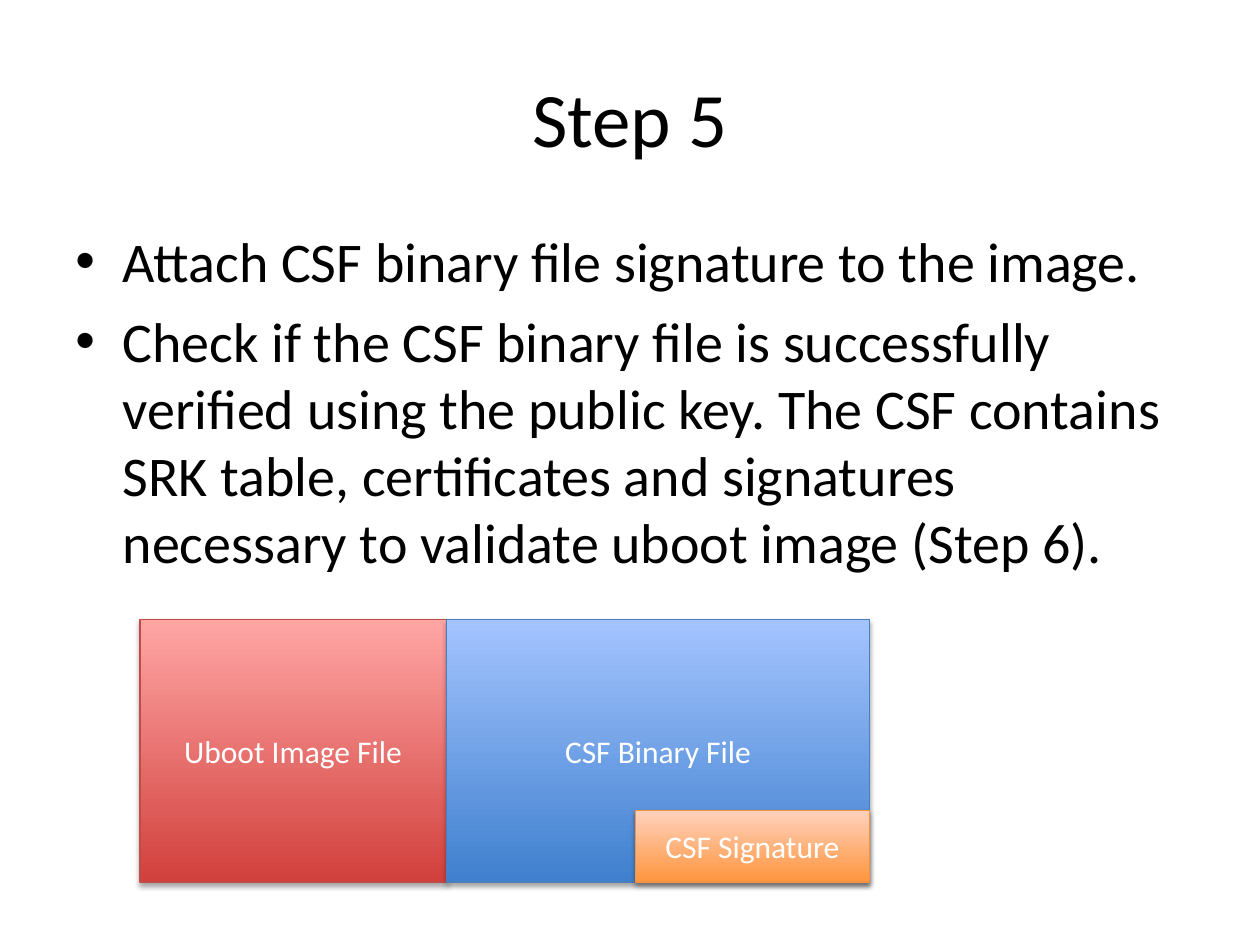
from dataclasses import dataclass

import lxml.etree
import pptx
import pptx.dml.color
import pptx.enum.shapes
import pptx.enum.text
import pptx.oxml
import pptx.oxml.ns
import pptx.util

Pt = pptx.util.Pt
RGBColor = pptx.dml.color.RGBColor
Align = pptx.enum.text.PP_ALIGN
Anchor = pptx.enum.text.MSO_ANCHOR

BLACK = RGBColor(0x00, 0x00, 0x00)
WHITE = RGBColor(0xFF, 0xFF, 0xFF)
RED_DARK = RGBColor(0xD1, 0x40, 0x3C)
RED_LIGHT = RGBColor(0xFF, 0xA6, 0xA5)
RED_LINE = RGBColor(0xBF, 0x4C, 0x48)
BLUE_DARK = RGBColor(0x3F, 0x80, 0xCE)
BLUE_LIGHT = RGBColor(0xA4, 0xC4, 0xFF)
BLUE_LINE = RGBColor(0x4B, 0x7E, 0xBC)
ORANGE_DARK = RGBColor(0xFF, 0x95, 0x3E)
ORANGE_LIGHT = RGBColor(0xFF, 0xD2, 0xBD)
ORANGE_LINE = RGBColor(0xF6, 0x92, 0x40)

FONT = "Calibri"
HANGING = Pt(27)
SHADOW = (
    '<a:outerShdw xmlns:a="http://schemas.openxmlformats.org/drawingml/2006/main" '
    'blurRad="{blur}" dist="{distance}" dir="5400000" rotWithShape="0">'
    '<a:srgbClr val="000000"><a:alpha val="35000"/></a:srgbClr></a:outerShdw>'
)


@dataclass
class Block:
    label: str
    left: float
    top: float
    width: float
    height: float
    bottom_color: RGBColor
    top_color: RGBColor
    line_color: RGBColor


BLOCKS = [
    Block("Uboot Image File", 80, 354, 175, 150, RED_DARK, RED_LIGHT, RED_LINE),
    Block("CSF Binary File", 255, 354, 242, 150, BLUE_DARK, BLUE_LIGHT, BLUE_LINE),
    Block("CSF Signature", 363, 463, 134, 41, ORANGE_DARK, ORANGE_LIGHT, ORANGE_LINE),
]

BULLETS = [
    "Attach CSF binary file signature to the image.",
    "Check if the CSF binary file is successfully verified using the public key. "
    "The CSF contains SRK table, certificates and signatures necessary to "
    "validate uboot image (Step 6).",
]


def add_span(para, text: str, size: float, color: RGBColor) -> None:
    span = para.add_run()
    span.text = text
    span.font.name = FONT
    span.font.size = Pt(size)
    span.font.color.rgb = color


def add_text_box(page, top: float, height: float, anchor):
    box = page.shapes.add_textbox(Pt(36), Pt(top), Pt(648), Pt(height))
    box.text_frame.word_wrap = True
    box.text_frame.vertical_anchor = anchor
    return box.text_frame


def add_bullet(para, text: str) -> None:
    para.space_before = Pt(7)
    properties = para._p.get_or_add_pPr()
    properties.set("marL", str(HANGING))
    properties.set("indent", str(-HANGING))
    font = lxml.etree.SubElement(properties, pptx.oxml.ns.qn("a:buFont"))
    font.set("typeface", "Arial")
    mark = lxml.etree.SubElement(properties, pptx.oxml.ns.qn("a:buChar"))
    mark.set("char", "•")
    add_span(para, text, 32, BLACK)


def add_block(page, block: Block) -> None:
    box = page.shapes.add_shape(
        pptx.enum.shapes.MSO_SHAPE.RECTANGLE,
        Pt(block.left), Pt(block.top), Pt(block.width), Pt(block.height),
    )
    box.fill.gradient()
    box.fill.gradient_angle = 90
    colors = (block.bottom_color, block.top_color)
    for stop, color, position in zip(box.fill.gradient_stops, colors, (0, 1)):
        stop.color.rgb = color
        stop.position = position
    box.line.color.rgb = block.line_color
    box.line.width = Pt(0.75)
    box.shadow.inherit = False
    effects = box._element.spPr.find(pptx.oxml.ns.qn("a:effectLst"))
    shadow = SHADOW.format(blur=Pt(3.1), distance=Pt(1.8))
    effects.append(pptx.oxml.parse_xml(shadow))
    frame = box.text_frame
    frame.word_wrap = True
    frame.vertical_anchor = Anchor.MIDDLE
    para = frame.paragraphs[0]
    para.alignment = Align.CENTER
    add_span(para, block.label, 18, WHITE)


deck = pptx.Presentation()
deck.slide_width, deck.slide_height = Pt(720), Pt(540)
page = deck.slides.add_slide(deck.slide_layouts[6])

title = add_text_box(page, 21.6, 90, Anchor.MIDDLE).paragraphs[0]
title.alignment = Align.CENTER
add_span(title, "Step 5", 44, BLACK)

body = add_text_box(page, 126, 356.4, Anchor.TOP)
for index, text in enumerate(BULLETS):
    add_bullet(body.add_paragraph() if index else body.paragraphs[0], text)

for block in BLOCKS:
    add_block(page, block)

deck.save("out.pptx")
